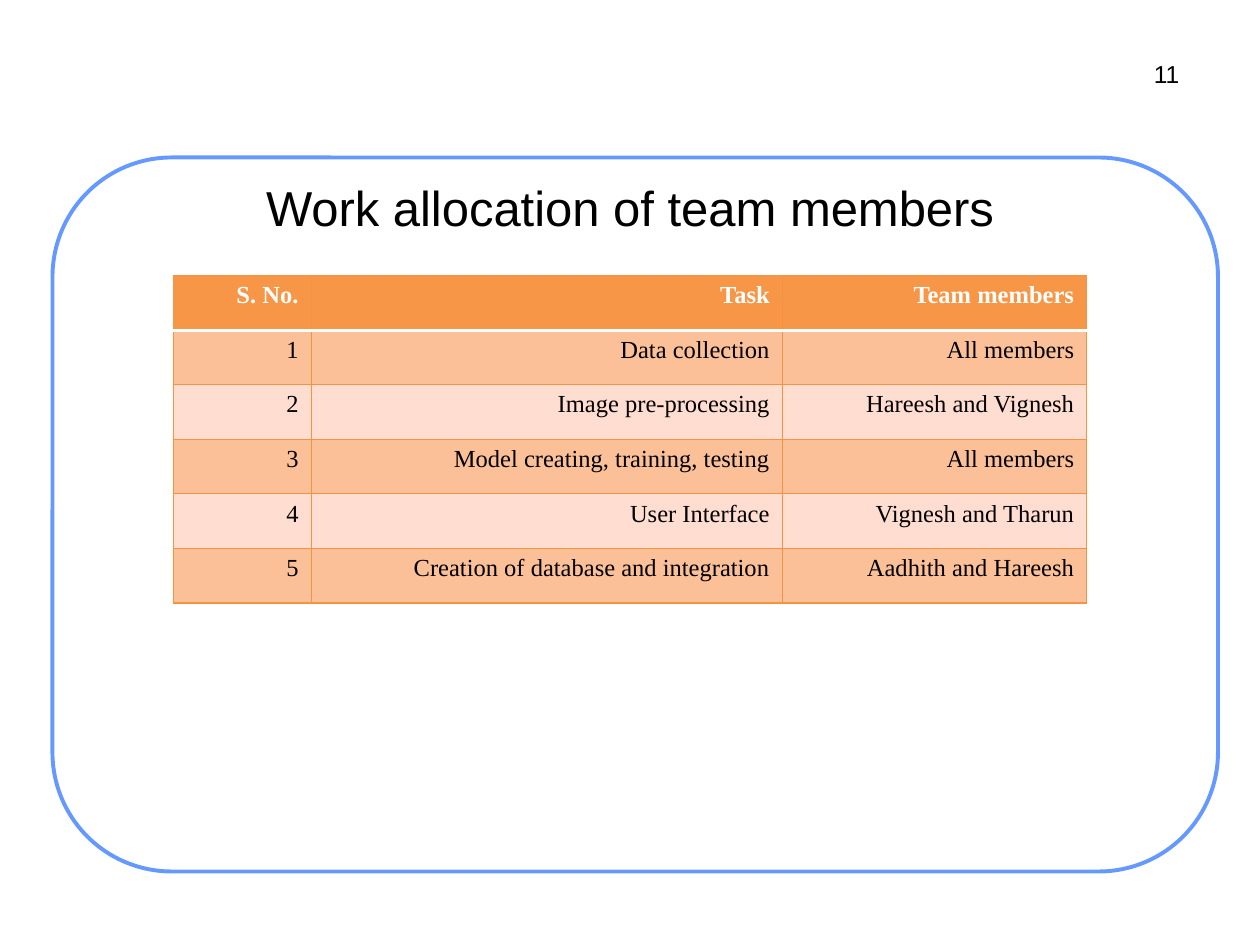
"""Build the slide on work allocation of team members."""
from dataclasses import dataclass

from lxml import etree
from pptx import Presentation
from pptx import util as u
from pptx.dml.color import RGBColor
from pptx.enum import shapes, text
from pptx.oxml import ns

WHITE = RGBColor(0xFF, 0xFF, 0xFF)
BLACK = RGBColor(0, 0, 0)
FRAME_BLUE = RGBColor(0x66, 0x99, 0xFF)
HEADER_ORANGE = RGBColor(0xF7, 0x96, 0x46)
BORDER_ORANGE = RGBColor(0xF6, 0x92, 0x40)
DARK_BAND = RGBColor(0xFC, 0xC0, 0x99)
LIGHT_BAND = RGBColor(0xFF, 0xDD, 0xD0)
COLUMN_WIDTHS = (78.9, 269.3, 174)
ROW_HEIGHT = 31.2


@dataclass(frozen=True)
class Allocation:
    number: str
    task: str
    members: str


HEADER = Allocation("S. No.", "Task", "Team members")
ALLOCATIONS = (
    Allocation("1", "Data collection", "All members"),
    Allocation("2", "Image pre-processing", "Hareesh and Vignesh"),
    Allocation("3", "Model creating, training, testing", "All members"),
    Allocation("4", "User Interface", "Vignesh and Tharun"),
    Allocation("5", "Creation of database and integration", "Aadhith and Hareesh"),
)


def write(frame, words: str, *, size: float = 14, font: str = "Arial",
          color: RGBColor = BLACK, bold: bool = False,
          align=text.PP_ALIGN.RIGHT) -> None:
    """Put one formatted paragraph into a text frame."""
    para = frame.paragraphs[0]
    para.alignment = align
    span = para.add_run()
    span.text = words
    span.font.size = u.Pt(size)
    span.font.name = font
    span.font.bold = bold
    span.font.color.rgb = color


def set_margins(frame, margin: float) -> None:
    """Give a text frame equal margins on all sides."""
    frame.margin_left = frame.margin_right = u.Pt(margin)
    frame.margin_top = frame.margin_bottom = u.Pt(margin)


def add_border(cell, side: str, color: RGBColor, width: float) -> None:
    """Add a solid border to one side of a table cell."""
    properties = cell._tc.get_or_add_tcPr()
    line = etree.SubElement(properties, ns.qn(f"a:ln{side}"), w=str(u.Pt(width)))
    fill = etree.SubElement(line, ns.qn("a:solidFill"))
    etree.SubElement(fill, ns.qn("a:srgbClr"), val=str(color))


def add_frame(page) -> None:
    """Draw the rounded frame behind everything else."""
    box = page.shapes.add_shape(
        shapes.MSO_SHAPE.ROUNDED_RECTANGLE,
        u.Pt(30), u.Pt(90), u.Pt(666), u.Pt(408))
    box.adjustments[0] = 0.167
    box.shadow.inherit = False
    box.fill.solid()
    box.fill.fore_color.rgb = WHITE
    box.line.color.rgb = FRAME_BLUE
    box.line.width = u.Pt(2.25)
    page.shapes._spTree.insert(2, box._element)


def add_title(page, words: str) -> None:
    """Place and fill the title placeholder."""
    title = page.shapes.title
    title.left, title.top = u.Pt(36), u.Pt(91.5)
    title.width, title.height = u.Pt(648), u.Pt(54)
    frame = title.text_frame
    set_margins(frame, 3.6)
    frame.vertical_anchor = text.MSO_ANCHOR.MIDDLE
    write(frame, words, size=28, align=text.PP_ALIGN.CENTER)


def fill_row(table, index: int, entry: Allocation) -> None:
    """Write and format one row of the table."""
    is_header = index == 0
    band = HEADER_ORANGE if is_header else DARK_BAND if index % 2 else LIGHT_BAND
    table.rows[index].height = u.Pt(ROW_HEIGHT)
    words = (entry.number, entry.task, entry.members)
    for cell, word in zip(table.rows[index].cells, words):
        for side in "LRTB":
            is_divider = (index, side) in ((0, "B"), (1, "T"))
            add_border(cell, side, WHITE if is_divider else BORDER_ORANGE,
                       2 if is_divider else 0.75)
        cell.fill.solid()
        cell.fill.fore_color.rgb = band
        write(cell.text_frame, word, font="Times New Roman", bold=is_header,
              color=WHITE if is_header else BLACK)


def add_allocation_table(page) -> None:
    """Add the table of tasks and members."""
    entries = (HEADER, *ALLOCATIONS)
    table = page.shapes.add_table(
        len(entries), len(COLUMN_WIDTHS), u.Pt(98.9), u.Pt(157.5),
        u.Pt(sum(COLUMN_WIDTHS)), u.Pt(ROW_HEIGHT * len(entries))).table
    for column, width in zip(table.columns, COLUMN_WIDTHS):
        column.width = u.Pt(width)
    for index, entry in enumerate(entries):
        fill_row(table, index, entry)


def add_page_number(page, number: str) -> None:
    """Write the page number at the top right."""
    box = page.shapes.add_textbox(u.Pt(653.5), u.Pt(30), u.Pt(24), u.Pt(23))
    frame = box.text_frame
    frame.word_wrap = False
    frame.auto_size = text.MSO_AUTO_SIZE.NONE
    set_margins(frame, 3.6)
    write(frame, number)


def main() -> None:
    """Build and save the deck."""
    deck = Presentation()
    deck.slide_width, deck.slide_height = u.Pt(720), u.Pt(540)
    page = deck.slides.add_slide(deck.slide_layouts.get_by_name("Title Only"))
    add_frame(page)
    add_title(page, "Work allocation of team members")
    add_allocation_table(page)
    add_page_number(page, "11")
    deck.save("out.pptx")


main()
